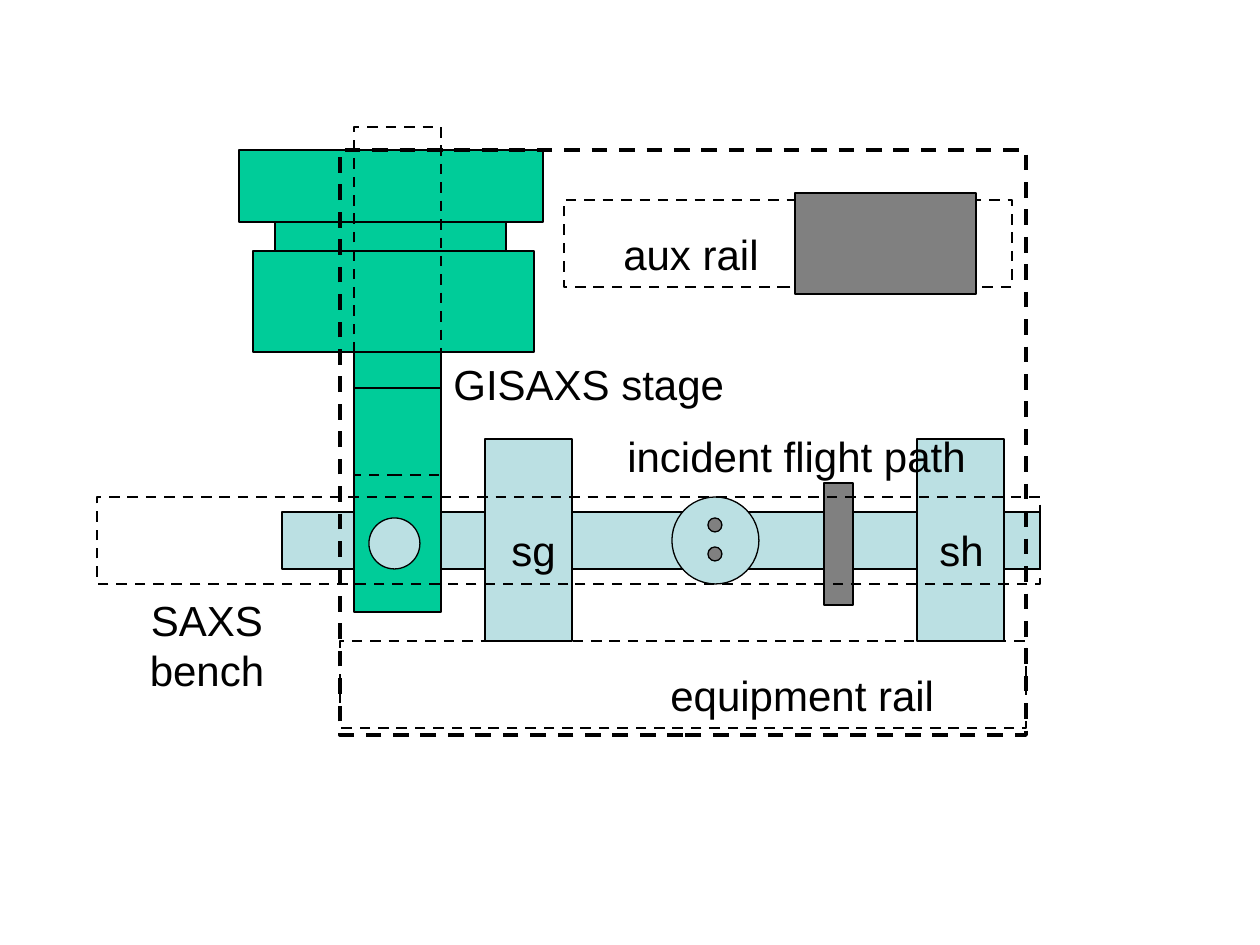
from pptx import Presentation
from pptx.dml.color import RGBColor
from pptx.enum.dml import MSO_LINE
from pptx.enum.shapes import MSO_SHAPE
from pptx.enum.text import MSO_AUTO_SIZE, PP_ALIGN
from pptx.util import Emu, Pt

RECT, OVAL = MSO_SHAPE.RECTANGLE, MSO_SHAPE.OVAL
LEFT, CENTER = PP_ALIGN.LEFT, PP_ALIGN.CENTER
DASH = MSO_LINE.DASH
FIT = MSO_AUTO_SIZE.SHAPE_TO_FIT_TEXT

BLACK = RGBColor(0x00, 0x00, 0x00)
GRAY = RGBColor(0x80, 0x80, 0x80)
PALE = RGBColor(0xBB, 0xE0, 0xE3)
GREEN = RGBColor(0x00, 0xCC, 0x99)

PX = 914400 // 126
RAIL = 87  # common width of rails, posts and the stage arm


def px(*lengths):
    return [Emu(n * PX) for n in lengths]


class Diagram:
    font, size = "Arial", Pt(24)

    def __init__(self, slide):
        self.slide = slide

    def outline(self, kind, box, weight):
        s = self.slide.shapes.add_shape(kind, *px(*box))
        s.shadow.inherit = False
        s.line.color.rgb = BLACK
        s.line.width = Pt(weight)
        return s

    def solid(self, color, *box, kind=RECT):
        s = self.outline(kind, box, 0.75)
        s.fill.solid()
        s.fill.fore_color.rgb = color

    def circle(self, color, x, y, d):
        self.solid(color, x, y, d, d, kind=OVAL)

    def dashed(self, *box, weight=1.5):
        s = self.outline(RECT, box, weight)
        s.fill.background()
        s.line.dash_style = DASH

    def label(self, text, *box, align=LEFT):
        tf = self.slide.shapes.add_textbox(*px(*box)).text_frame
        tf.word_wrap = False
        tf.auto_size = FIT
        tf.text = text
        for p in tf.paragraphs:
            p.alignment = align
            p.font.name, p.font.size = self.font, self.size
            p.font.color.rgb = BLACK


def main():
    prs = Presentation()
    prs.slide_width, prs.slide_height = px(1260, 945)
    d = Diagram(prs.slides.add_slide(prs.slide_layouts[6]))

    # Incident flight path with slit posts and shutter
    d.solid(PALE, 282, 512, 758, 57)
    for x in (917, 485):
        d.solid(PALE, x, 439, RAIL, 202)
    d.solid(GRAY, 824, 483, 29, 122)
    d.circle(PALE, 672, 497, RAIL)
    for y in (547, 518):
        d.circle(GRAY, 708, y, 14)

    # Stage arm over the SAXS bench
    d.solid(GREEN, 354, 388, RAIL, 224)
    d.dashed(97, 497, 943, RAIL)

    # GISAXS stage, from the arm upwards
    d.solid(GREEN, 354, 352, RAIL, 36)
    d.solid(GREEN, 253, 251, 281, 101)
    d.solid(GREEN, 275, 222, 231, 29)
    d.solid(GREEN, 239, 150, 304, 72)
    d.circle(PALE, 369, 518, 51)
    d.dashed(354, 127, RAIL, 348)

    # Auxiliary rail, equipment rail and enclosure
    d.dashed(564, 200, 448, RAIL)
    d.solid(GRAY, 795, 193, 181, 101)
    d.dashed(340, 641, 686, RAIL)
    d.dashed(340, 150, 686, 585, weight=2.25)

    # Labels
    d.label("sg", 499, 518, 73, 63)
    d.label("sh", 927, 518, 73, 63)
    d.label("incident flight path", 615, 424, 368, 63)
    d.label("GISAXS stage", 441, 352, 298, 63)
    d.label("equipment rail", 658, 663, 291, 63)
    d.label("SAXS\nbench", 136, 588, 142, 113, align=CENTER)
    d.label("aux rail", 608, 222, 166, 63, align=CENTER)

    prs.save("out.pptx")


if __name__ == "__main__":
    main()
